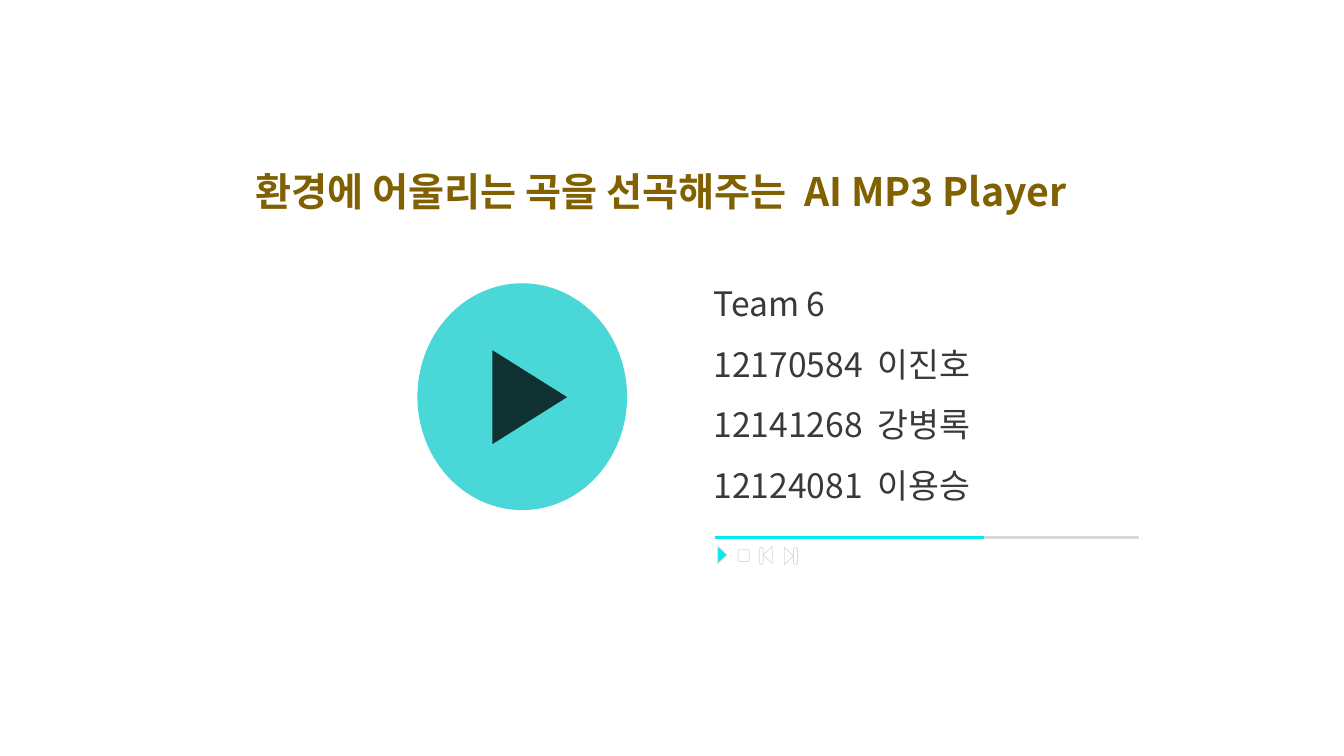
"""Build the title slide of an AI MP3 player project."""
from dataclasses import dataclass
from typing import Optional

from lxml.etree import SubElement
from pptx import Presentation
from pptx.dml.color import RGBColor
from pptx.enum.shapes import MSO_CONNECTOR as Line, MSO_SHAPE as Shape
from pptx.enum.text import MSO_ANCHOR as Anchor, MSO_AUTO_SIZE as Fit, PP_ALIGN as Align
from pptx.oxml.ns import qn
from pptx.util import Inches, Pt

FONT = "Noto Sans CJK KR"
COLORS = {
    "white": "FFFFFF", "black": "000000", "disc": "49D7D7", "accent": "02EAEF",
    "track": "D9D9D9", "title": "806000", "text": "3B3838",
}
SPACE_SHARE = 0.22


@dataclass(frozen=True)
class Box:
    """Left, top, width and height in percent of the slide."""
    x: float
    y: float
    w: float
    h: float

    def emu(self) -> tuple:
        """Return the lengths in EMU."""
        return (int(self.x * COL), int(self.y * ROW), int(self.w * COL), int(self.h * ROW))


@dataclass(frozen=True)
class Part:
    """A preset shape of the player."""
    kind: Shape
    box: Box
    fill: str
    line: Optional[str] = None
    turn: int = 0
    round: Optional[float] = None
    alpha: Optional[int] = None


@dataclass(frozen=True)
class Style:
    """The look of a block of text."""
    size: int
    color: str
    bold: bool = False
    align: Align = Align.LEFT


def rgb(name: str) -> RGBColor:
    """Look up a colour."""
    return RGBColor.from_string(COLORS[name])


def draw_part(part: Part) -> None:
    """Draw one preset shape."""
    s = shapes.add_shape(part.kind, *part.box.emu())
    s.shadow.inherit = False
    s.rotation = part.turn
    if part.round is not None:
        s.adjustments[0] = part.round
    s.fill.solid()
    s.fill.fore_color.rgb = rgb(part.fill)
    if part.alpha is not None:
        color = s._element.spPr.find(qn("a:solidFill"))[0]
        SubElement(color, qn("a:alpha"), val=str(part.alpha * 1000))
    if part.line:
        s.line.color.rgb = rgb(part.line)
        s.line.width = Pt(0.5)
    else:
        s.line.fill.background()


def draw_bar(end: float, color: str) -> None:
    """Draw the progress bar from its start to the given column."""
    y = int(BAR_Y * ROW)
    s = shapes.add_connector(Line.STRAIGHT, int(BAR_X * COL), y, int(end * COL), y)
    s.line.color.rgb = rgb(color)
    s.line.width = Pt(2.25)
    SubElement(s._element.spPr, qn("a:effectLst"))


def write(sp, box: Box, lines: list, style: Style) -> None:
    """Place a text shape and fill it, widening the gap between the parts of a line."""
    sp.left, sp.top, sp.width, sp.height = box.emu()
    tf = sp.text_frame
    tf.word_wrap = True
    tf.auto_size = Fit.NONE
    tf.vertical_anchor = Anchor.TOP
    for i, parts in enumerate(lines):
        p = tf.add_paragraph() if i else tf.paragraphs[0]
        p.alignment = style.align
        p.line_spacing = 1.5
        for j, words in enumerate(parts):
            if j:
                gap = add_run(p, " ", style)
                gap.font._element.set("spc", str(round(style.size * SPACE_SHARE * 100)))
            add_run(p, words, style)


def add_run(p, words: str, style: Style):
    """Add one formatted run."""
    r = p.add_run()
    r.text = words
    r.font.name = FONT
    r.font.size = Pt(style.size)
    r.font.bold = style.bold
    r.font.color.rgb = rgb(style.color)
    SubElement(r.font._element, qn("a:ea"), typeface=FONT)
    return r


prs = Presentation()
prs.slide_width, prs.slide_height = Inches(13.33), Inches(7.5)
COL, ROW = prs.slide_width / 100, prs.slide_height / 100
BAR_X, BAR_Y = 53.19, 71.07
ICON_W, ICON_H = 1.28, 1.2
STOPPER_Y, STOPPER_W, STOPPER_H = 72.4, 0.3, 2.27

slide = prs.slides.add_slide(prs.slide_layouts[5])
shapes = slide.shapes

for end, color in ((84.77, "track"), (73.22, "accent")):
    draw_bar(end, color)

draw_part(Part(Shape.ROUNDED_RECTANGLE, Box(54.91, 72.67, 0.83, 1.6), "white", "track", round=0.13))
for x, y, turn, fill, stopper_x in (
    (53.11, 72.8, 90, "accent", None),
    (58.06, 72.93, 90, "white", 59.04),
    (56.49, 72.8, 270, "white", 56.49),
):
    draw_part(Part(Shape.ISOSCELES_TRIANGLE, Box(x, y, ICON_W, ICON_H), fill, "track", turn))
    if stopper_x is not None:
        stopper = Box(stopper_x, STOPPER_Y, STOPPER_W, STOPPER_H)
        draw_part(Part(Shape.ROUNDED_RECTANGLE, stopper, "white", "track", round=0.5))

team_box = Box(52.36, 34.13, 35.86, 32.67)
write(shapes.add_textbox(*team_box.emu()), team_box, [
    ["Team 6"],
    ["12170584", "이진호"],
    ["12141268", "강병록"],
    ["12124081", "이용승"],
], Style(24, "text"))
write(shapes.title, Box(9.23, 18.4, 79.9, 9.6),
      [["환경에 어울리는 곡을 선곡해주는", "AI MP3 Player"]],
      Style(28, "title", True, Align.CENTER))

draw_part(Part(Shape.OVAL, Box(31.06, 37.47, 15.6, 30), "disc"))
draw_part(Part(Shape.ISOSCELES_TRIANGLE, Box(35.93, 47.6, 6.98, 9.87), "black", turn=90, alpha=77))

prs.save("out.pptx")
